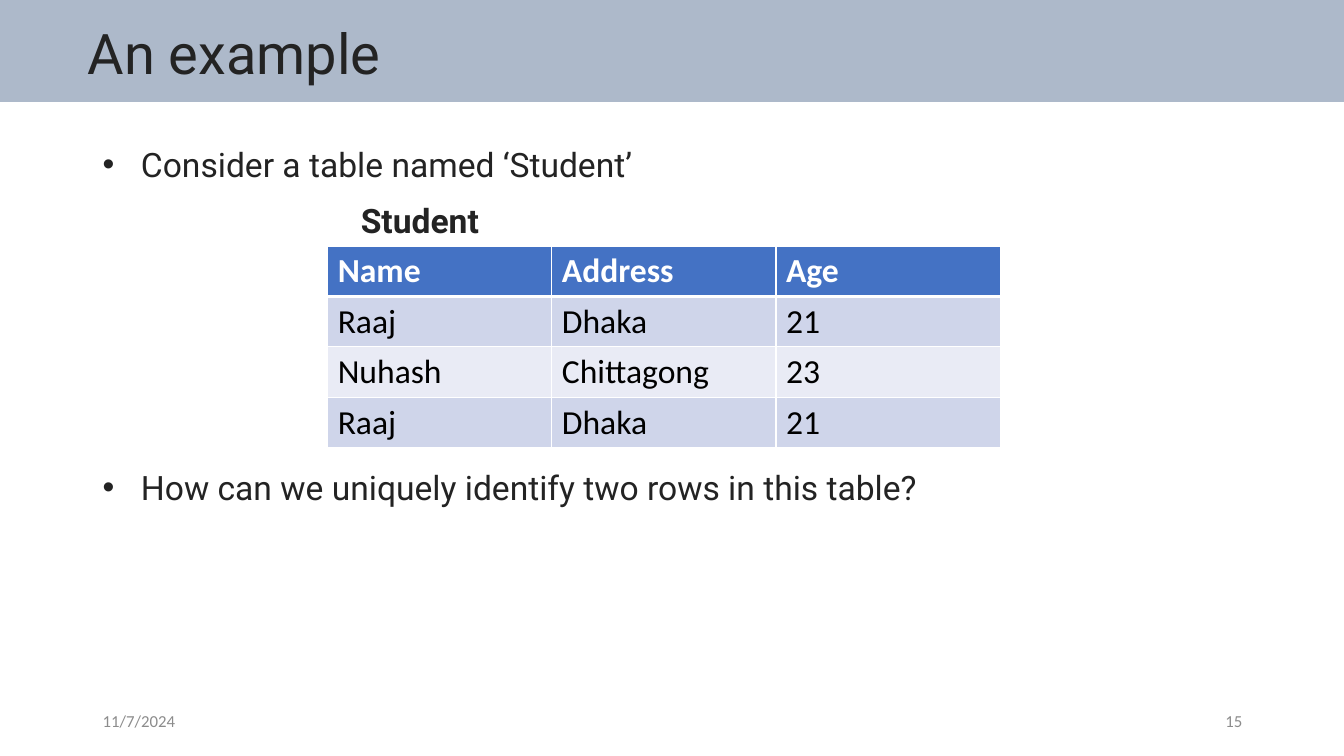
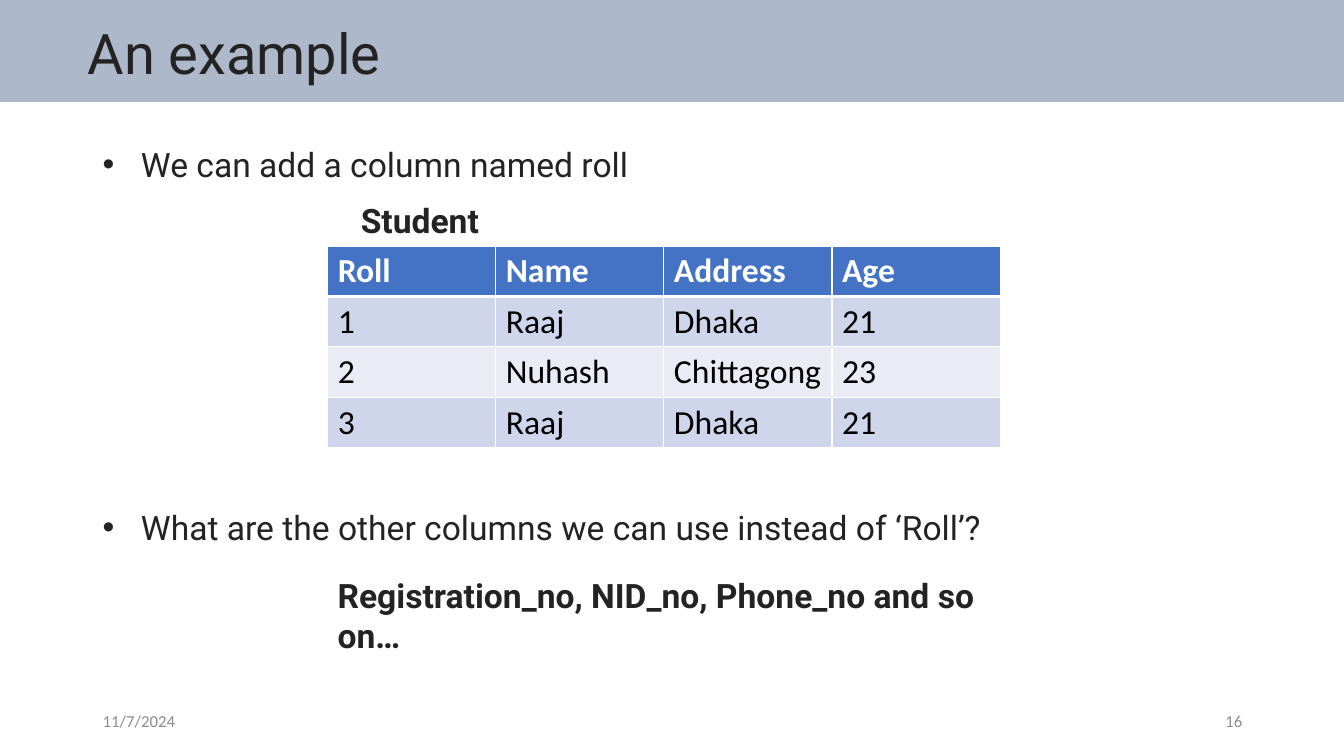
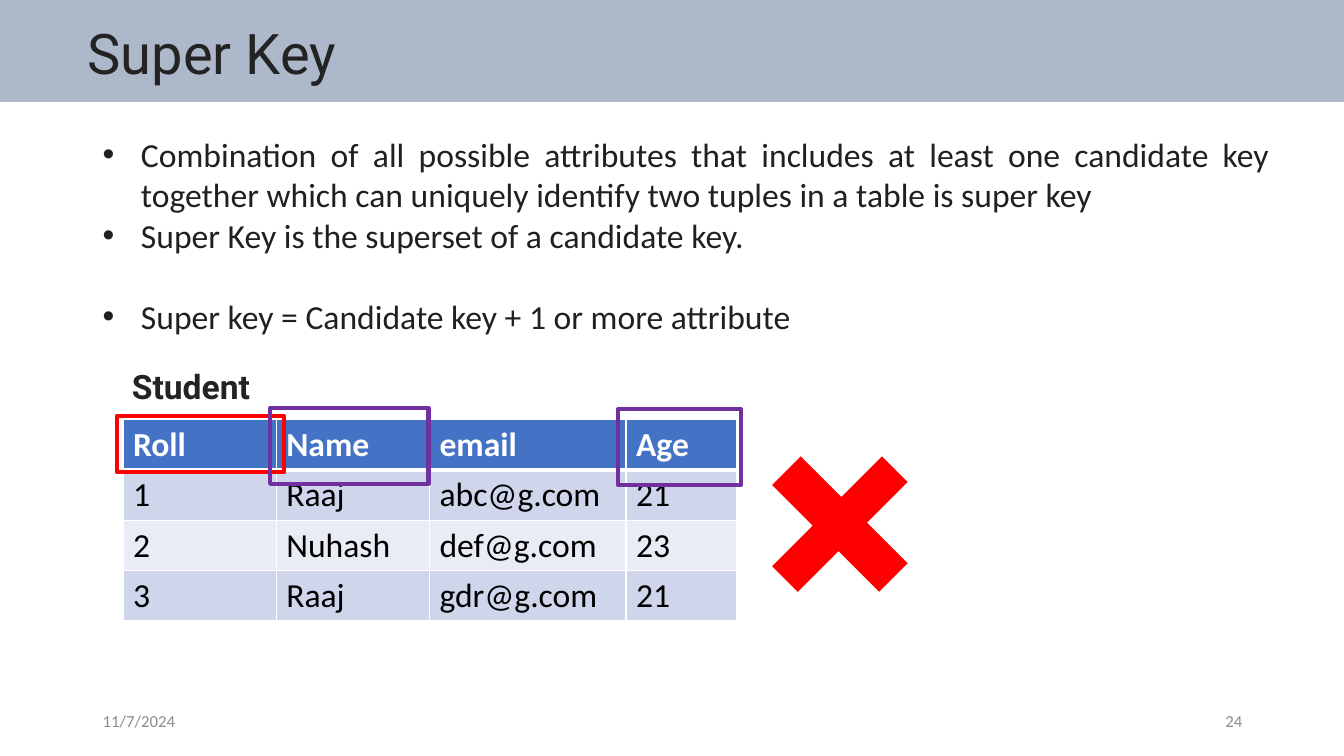
from pptx import Presentation
from pptx.dml.color import RGBColor
from pptx.enum.shapes import MSO_SHAPE as Preset
from pptx.enum.text import MSO_ANCHOR as Anchor, MSO_AUTO_SIZE as AutoSize, PP_ALIGN as Align
from pptx.oxml.ns import qn
from pptx.util import Inches, Pt
from lxml.etree import SubElement

# Shared look
BAND = RGBColor(0xAD, 0xB9, 0xCA)
INK = RGBColor(0x23, 0x23, 0x23)
BODY_INK = RGBColor(0x23, 0x1F, 0x20)
FOOTER_INK = RGBColor(0x8C, 0x8C, 0x8C)
BLACK = RGBColor(0, 0, 0)
WHITE = RGBColor(0xFF, 0xFF, 0xFF)
HEADER_FILL = RGBColor(0x44, 0x72, 0xC4)
ODD_ROW_FILL = RGBColor(0xCF, 0xD5, 0xEA)
EVEN_ROW_FILL = RGBColor(0xE9, 0xEB, 0xF5)
RED = RGBColor(0xFF, 0, 0)
PURPLE = RGBColor(0x70, 0x30, 0xA0)

HEADING_FONT, TABLE_FONT = "Roboto", "Calibri"
TEXT_SIZE = 24
SLIDE_WIDTH, SLIDE_HEIGHT = 13.33, 7.5
ROW_HEIGHT = 0.5
BULLET_INDENT = 0.38
DATE = "11/7/2024"


def inches(box):
    return [Inches(length) for length in box]


def set_font(paragraph, name, size, color, bold=False):
    font = paragraph.font
    font.name, font.size, font.bold = name, Pt(size), bold
    font.color.rgb = color


def add_text(slide, box, text, name=HEADING_FONT, size=TEXT_SIZE, color=INK,
             bold=False, align=Align.LEFT, anchor=Anchor.TOP):
    frame = slide.shapes.add_textbox(*inches(box)).text_frame
    frame.word_wrap = True
    frame.vertical_anchor = anchor
    paragraph = frame.paragraphs[0]
    paragraph.text = text
    paragraph.alignment = align
    set_font(paragraph, name, size, color, bold)


def add_preset(slide, preset, box, fill=None, line=None):
    shape = slide.shapes.add_shape(preset, *inches(box))
    shape.shadow.inherit = False
    if fill is None:
        shape.fill.background()
    else:
        shape.fill.solid()
        shape.fill.fore_color.rgb = fill
    if line is None:
        shape.line.fill.background()
    else:
        shape.line.color.rgb = line
        shape.line.width = Pt(3)
    return shape


def add_base_slide(presentation, title_text, number):
    """Add a slide with title band, title, date and slide number."""
    slide = presentation.slides.add_slide(presentation.slide_layouts[5])
    title = slide.shapes.title
    band = add_preset(slide, Preset.RECTANGLE, (0, 0, SLIDE_WIDTH, 1.01), fill=BAND)
    title.element.addprevious(band.element)

    title.left, title.top, title.width, title.height = inches((0.77, 0.13, 12.47, 0.77))
    frame = title.text_frame
    frame.text = title_text
    frame.auto_size = AutoSize.NONE
    frame.vertical_anchor = Anchor.TOP
    paragraph = frame.paragraphs[0]
    paragraph.alignment = Align.LEFT
    set_font(paragraph, HEADING_FONT, 40, INK)

    for left, text, align in ((0.92, DATE, Align.LEFT), (9.42, str(number), Align.RIGHT)):
        add_text(slide, (left, 6.95, 3, 0.4), text, TABLE_FONT, 12, FOOTER_INK,
                 align=align, anchor=Anchor.MIDDLE)
    return slide


def add_bullets(slide, box, bullets, name=HEADING_FONT, color=INK):
    """Add justified bullets, given as (text, points of space before)."""
    frame = slide.shapes.add_textbox(*inches(box)).text_frame
    frame.word_wrap = True
    for index, (text, space_before) in enumerate(bullets):
        paragraph = frame.add_paragraph() if index else frame.paragraphs[0]
        paragraph.text = text
        paragraph.alignment = Align.JUSTIFY
        paragraph.space_before = Pt(space_before)
        set_font(paragraph, name, TEXT_SIZE, color)
        properties = paragraph.runs[0].font._element.getparent().getparent().get_or_add_pPr()
        properties.set("marL", str(Inches(BULLET_INDENT)))
        properties.set("indent", str(-Inches(BULLET_INDENT)))
        bullet_font = SubElement(properties, qn("a:buFont"), typeface="Arial")
        bullet = SubElement(properties, qn("a:buChar"), char="•")
        # Bullet settings come before the default run properties
        default_run = properties.find(qn("a:defRPr"))
        if default_run is not None:
            default_run.addprevious(bullet_font)
            default_run.addprevious(bullet)


def set_borders(cell, widths):
    properties = cell._tc.get_or_add_tcPr()
    for side, width in zip("LRTB", widths):
        line = SubElement(properties, qn(f"a:ln{side}"), w=str(Pt(width)))
        fill = SubElement(line, qn("a:solidFill"))
        SubElement(fill, qn("a:srgbClr"), val=str(WHITE))


def add_student_table(slide, left, top, column_widths, rows):
    box = (left, top, sum(column_widths), ROW_HEIGHT * len(rows))
    table = slide.shapes.add_table(len(rows), len(column_widths), *inches(box)).table
    for column, width in zip(table.columns, column_widths):
        column.width = Inches(width)
    for row_index, row in enumerate(rows):
        is_header = row_index == 0
        row_fill = ODD_ROW_FILL if row_index % 2 else EVEN_ROW_FILL
        for column_index, text in enumerate(row):
            cell = table.cell(row_index, column_index)
            cell.text = text
            set_font(cell.text_frame.paragraphs[0], TABLE_FONT, TEXT_SIZE,
                     WHITE if is_header else BLACK, is_header)
            set_borders(cell, (1, 1, 3 if row_index == 1 else 1, 3 if is_header else 1))
            cell.fill.solid()
            cell.fill.fore_color.rgb = HEADER_FILL if is_header else row_fill


def add_table_label(slide, left, top):
    add_text(slide, (left, top, 2.05, 0.5), "Student", bold=True)


def add_example_slide(presentation, number, bullets, rows):
    """Add a slide with a table of equal columns between two bullets."""
    slide = add_base_slide(presentation, "An example", number)
    add_bullets(slide, (0.92, 1.38, 11.77, 4.54), bullets)
    columns = len(rows[0])
    add_student_table(slide, 3.25, 2.44, [6.67 / columns] * columns, rows)
    add_table_label(slide, 3.48, 1.93)
    return slide


def add_super_key_slide(presentation, number, rows):
    slide = add_base_slide(presentation, "Super Key", number)
    add_bullets(slide, (0.92, 1.28, 11.77, 2.93), [
        ("Combination of all possible attributes that includes at least one candidate key "
         "together which can uniquely identify two tuples in a table is super key", 0),
        ("Super Key is the superset of a candidate key.", 0),
        ("Super key = Candidate key + 1 or more attribute", 29),
    ], TABLE_FONT, BODY_INK)
    add_table_label(slide, 1.21, 3.58)
    add_student_table(slide, 1.22, 4.16, [1.52, 1.52, 1.95, 1.1], rows)

    # Frames around the key and the other attributes
    for box, color in (((1.16, 4.13, 1.66, 0.55), RED),
                       ((2.68, 4.05, 1.57, 0.75), PURPLE),
                       ((6.13, 4.06, 1.22, 0.75), PURPLE)):
        add_preset(slide, Preset.RECTANGLE, box, line=color)

    # Rejection mark
    cross = add_preset(slide, Preset.CROSS, (7.58, 4.43, 1.5, 1.54), fill=RED)
    cross.adjustments[0] = 0.38
    cross.rotation = 45


def with_roll(rows):
    rolls = ["Roll"] + [str(roll) for roll in range(1, len(rows))]
    return [[roll, *row] for roll, row in zip(rolls, rows)]


def main():
    presentation = Presentation()
    presentation.slide_width = Inches(SLIDE_WIDTH)
    presentation.slide_height = Inches(SLIDE_HEIGHT)

    students = [["Name", "Address", "Age"], ["Raaj", "Dhaka", "21"],
                ["Nuhash", "Chittagong", "23"], ["Raaj", "Dhaka", "21"]]
    emails = ["email", "abc@g.com", "def@g.com", "gdr@g.com"]
    contacts = [[name, email, age] for (name, _, age), email in zip(students, emails)]

    add_example_slide(presentation, 15, [
        ("Consider a table named ‘Student’", 0),
        ("How can we uniquely identify two rows in this table?", 202),
    ], students)

    roll_slide = add_example_slide(presentation, 16, [
        ("We can add a column named roll", 0),
        ("What are the other columns we can use instead of ‘Roll’?", 230.5),
    ], with_roll(students))
    add_text(roll_slide, (3.25, 5.65, 6.86, 0.5),
             "Registration_no, NID_no, Phone_no and so on…", bold=True)

    add_super_key_slide(presentation, 24, with_roll(contacts))
    presentation.save("out.pptx")


if __name__ == "__main__":
    main()
